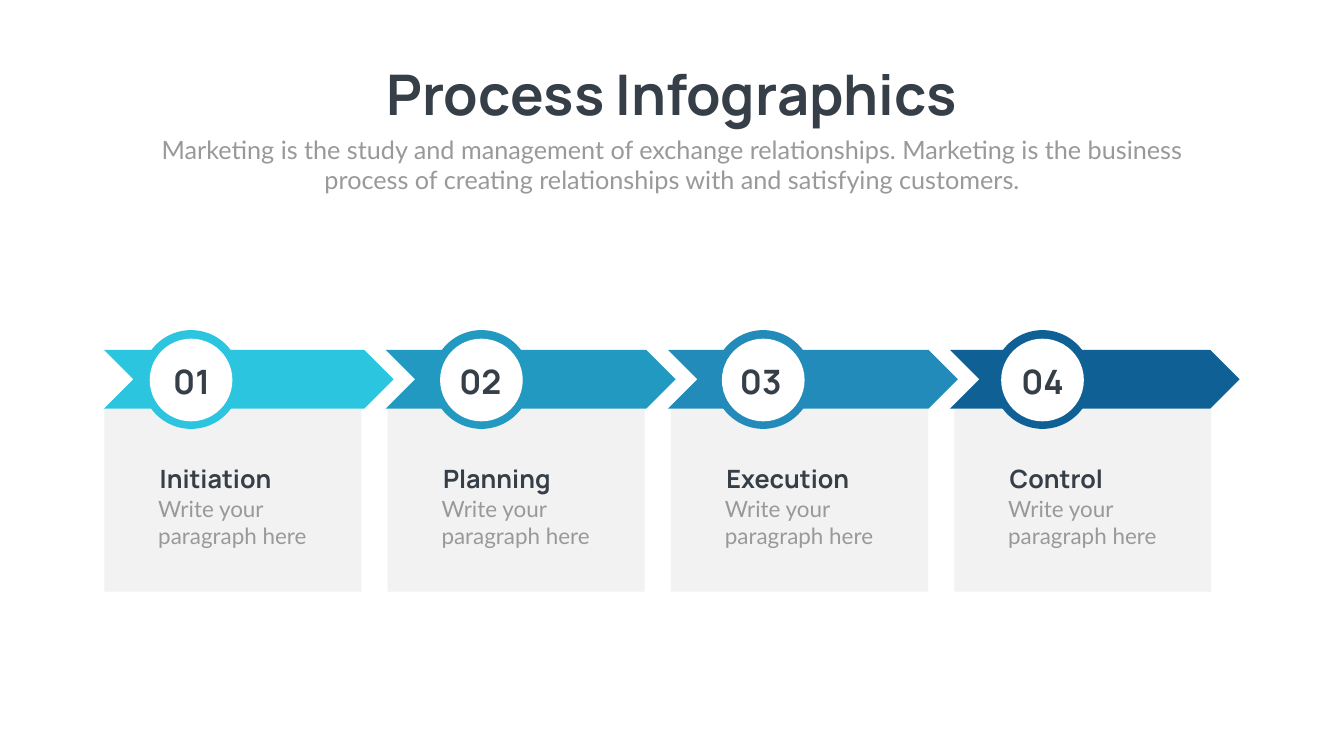
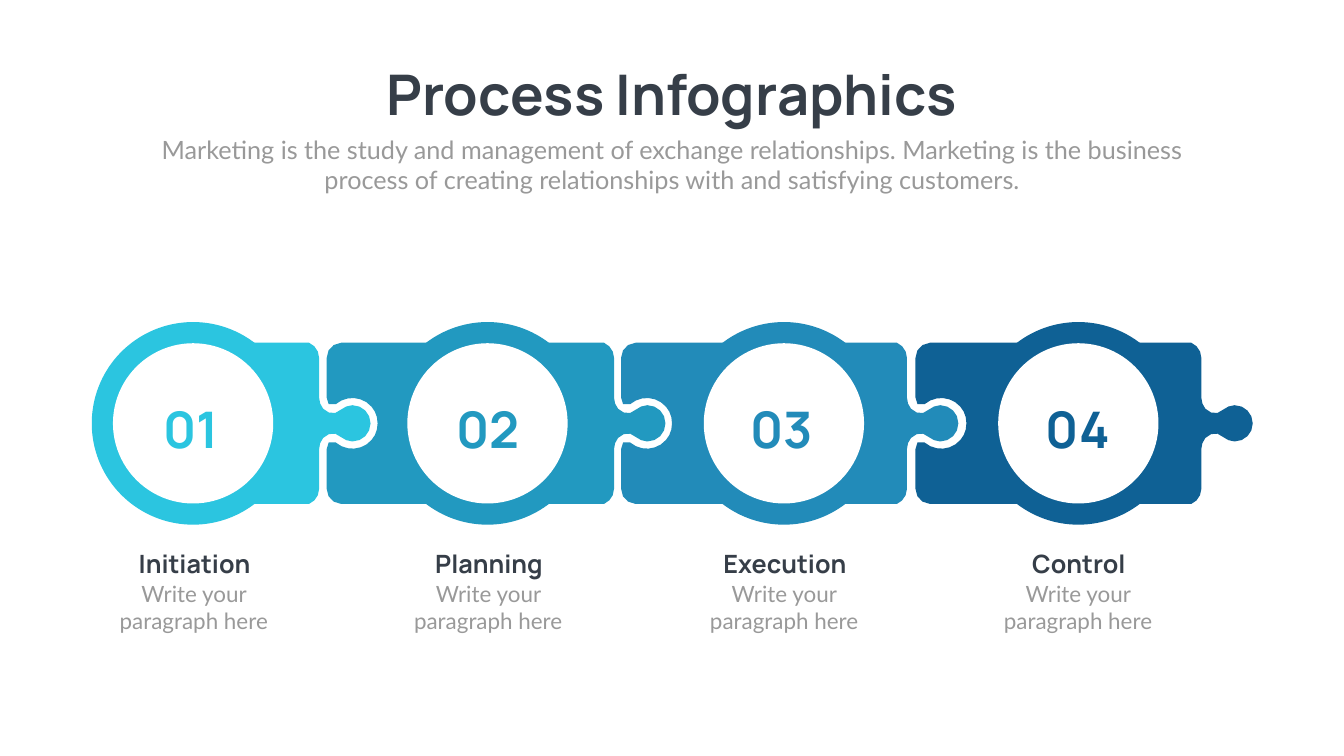
"""Build two four-step process slides: chevrons over cards, and linked puzzle pieces."""
from math import ceil, dist

from pptx import Presentation
from pptx.dml.color import RGBColor
from pptx.enum.shapes import MSO_SHAPE as SHAPE
from pptx.enum.text import MSO_ANCHOR as ANCHOR, MSO_AUTO_SIZE as AUTO_SIZE, PP_ALIGN as ALIGN
from pptx.util import Pt

PX = 9144
INK = RGBColor(0x36, 0x3E, 0x48)
GREY = RGBColor(0x99, 0x99, 0x99)
CARD = RGBColor(0xF2, 0xF2, 0xF2)
WHITE = RGBColor(0xFF, 0xFF, 0xFF)
CYAN = RGBColor(0x2B, 0xC5, 0xE0)
TEAL = RGBColor(0x22, 0x99, 0xC0)
BLUE = RGBColor(0x22, 0x8B, 0xB9)
NAVY = RGBColor(0x0F, 0x61, 0x95)

TITLE = dict(name="Manrope", size=Pt(80), bold=True)
INTRO = dict(name="Lato", size=Pt(36), bold=False)
HEADING = dict(name="Manrope", size=Pt(36), bold=True)
BODY = dict(name="Lato", size=Pt(32), bold=False)
SMALL_NUMBER = dict(name="Manrope", size=Pt(48), bold=True)
LARGE_NUMBER = dict(name="Manrope", size=Pt(72), bold=True)

TITLE_TEXT = "Process Infographics"
INTRO_TEXT = (
    "Marketing is the study and management of exchange relationships. "
    "Marketing is the business process of creating relationships with "
    "and satisfying customers."
)
BODY_TEXT = "Write your paragraph here"
STEPS = [("Initiation", CYAN), ("Planning", TEAL), ("Execution", BLUE), ("Control", NAVY)]


def write(holder, box, text, style, color=INK, align=ALIGN.CENTER):
    for side, length in zip(("left", "top", "width", "height"), box):
        setattr(holder, side, length * PX)
    frame = holder.text_frame
    frame.text = text
    frame_format = dict(
        word_wrap=True, auto_size=AUTO_SIZE.SHAPE_TO_FIT_TEXT, vertical_anchor=ANCHOR.TOP
    )
    for key, value in frame_format.items():
        setattr(frame, key, value)
    paragraph = frame.paragraphs[0]
    paragraph.alignment = align
    font = paragraph.runs[0].font
    for key, value in style.items():
        setattr(font, key, value)
    font.color.rgb = color


def paint(shape, color):
    shape.shadow.inherit = False
    shape.fill.solid()
    shape.fill.fore_color.rgb = color
    shape.line.fill.background()


prs = Presentation()
prs.slide_width, prs.slide_height = 2666 * PX, 1500 * PX
slides = []
for _ in range(2):
    slide = prs.slides.add_slide(prs.slide_layouts[5])
    write(slide.shapes.title, (717, 114, 1232, 145), TITLE_TEXT, TITLE)
    intro = slide.shapes.add_textbox(0, 0, 0, 0)
    write(intro, (292, 261, 2082, 131), INTRO_TEXT, INTRO, GREY)
    slides.append(slide)
chevron_slide, puzzle_slide = slides

badge_lefts = (281, 857, 1416, 1970)
number_lefts = (286, 859, 1415, 1974)
for i, (name, color) in enumerate(STEPS):
    shapes = chevron_slide.shapes
    card_left = 207 + 562 * i
    for kind, box, fill in (
        (SHAPE.RECTANGLE, (card_left, 811, 510, 363), CARD),
        (SHAPE.CHEVRON, (206 + round(559.33 * i), 694, 575, 117), color),
        (SHAPE.OVAL, (badge_lefts[i], 655, 196, 196), color),
        (SHAPE.OVAL, (badge_lefts[i] + 16, 672, 164, 164), WHITE),
    ):
        paint(shapes.add_shape(kind, *(length * PX for length in box)), fill)
    for box, text, style, ink, align in (
        ((number_lefts[i], 711, 188, 91), f"{i + 1:02}", SMALL_NUMBER, INK, ALIGN.CENTER),
        ((card_left + 100, 914, 336, 71), name, HEADING, INK, ALIGN.LEFT),
        ((card_left + 97, 977, 339, 118), BODY_TEXT, BODY, GREY, ALIGN.LEFT),
    ):
        write(shapes.add_textbox(0, 0, 0, 0), box, text, style, ink, align)

MIDDLE = 840
KNOB = [
    [(-20, -160), (-8, -155), (0, -143), (0, -130)],
    [(0, -51), (0, -43), (3, -35), (8, -29)],
    [(8, -29), (18, -18), (34, -17), (43, -27)],
    [(43, -27), (49, -32), (58, -36), (66, -36)],
    [(66, -36), (86, -36), (102, -20), (102, 0)],
]
SOCKET = [
    [(29, -160), (12, -159), (0, -146), (0, -130)],
    [(0, -51), (0, -46), (1, -42), (4, -38)],
    [(4, -38), (8, -33), (13, -33), (18, -38)],
    [(18, -38), (39, -56), (71, -54), (89, -33)],
    [(89, -33), (97, -24), (101, -13), (101, 0)],
]
edges = []
for curves in (KNOB, SOCKET):
    upper = []
    for curve in curves:
        count = ceil(dist(curve[0], curve[3]) / 14)
        for t in (step / count for step in range(count + 1)):
            weights = ((1 - t) ** 3, 3 * t * (1 - t) ** 2, 3 * t**2 * (1 - t), t**3)
            upper.append(tuple(sum(w * p[axis] for w, p in zip(weights, curve)) for axis in (0, 1)))
    lower = [(x, -y) for x, y in reversed(upper)]
    edges.append(list(dict.fromkeys(upper + lower)))
knob_edge, socket_edge = edges
flat_edge = [(0, -160), (0, 160)]

piece_lefts = (406, 648, 1232, 1816)
piece_rights = (633, 1218, 1799, 2383)
ring_lefts = (182, 766, 1354, 1938)
large_number_lefts = (285, 874, 1456, 2044)
caption_lefts = (218, 802, 1389, 1972)
for i, (name, color) in enumerate(STEPS):
    shapes = puzzle_slide.shapes
    left_edge = socket_edge if i else flat_edge
    outline = [(piece_rights[i] + x, MIDDLE + y) for x, y in knob_edge]
    outline += [(piece_lefts[i] + x, MIDDLE + y) for x, y in reversed(left_edge)]
    points = [(x * PX, y * PX) for x, y in outline]
    builder = shapes.build_freeform(*points[0])
    builder.add_line_segments(points[1:], close=True)
    paint(builder.convert_to_shape(), color)
    for inset, fill in ((0, color), (42, WHITE)):
        size = 402 - 2 * inset
        box = (ring_lefts[i] + inset, 639 + inset, size, size)
        paint(shapes.add_shape(SHAPE.OVAL, *(length * PX for length in box)), fill)
    for box, text, style, ink in (
        ((large_number_lefts[i], 784, 188, 131), f"{i + 1:02}", LARGE_NUMBER, color),
        ((caption_lefts[i], 1083, 336, 71), name, HEADING, INK),
        ((caption_lefts[i] - 3, 1146, 339, 118), BODY_TEXT, BODY, GREY),
    ):
        write(shapes.add_textbox(0, 0, 0, 0), box, text, style, ink)

prs.save("out.pptx")
